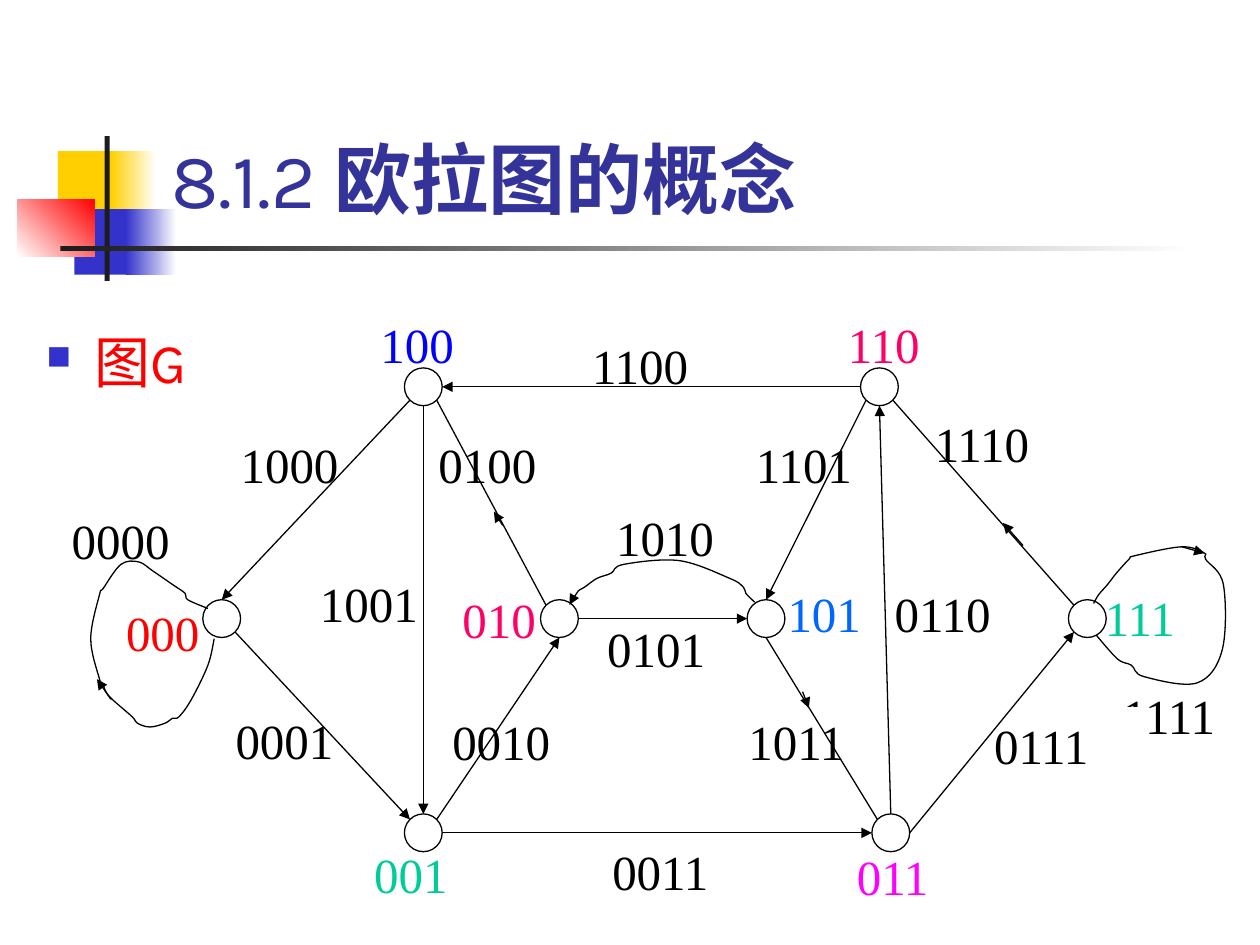
"""Build the slide that shows the Euler graph G of three-bit vertices."""
from dataclasses import dataclass
from typing import NamedTuple

import lxml.etree
import pptx
import pptx.dml.color
import pptx.enum.shapes
import pptx.enum.text
import pptx.oxml.ns
import pptx.util

Point = tuple[float, float]
RECTANGLE = pptx.enum.shapes.MSO_SHAPE.RECTANGLE
OVAL = pptx.enum.shapes.MSO_SHAPE.OVAL


@dataclass(frozen=True)
class Theme:
    title: str = "333399"
    blue: str = "3333CC"
    yellow: str = "FFCF01"
    red: str = "FF0000"
    dark: str = "1C1C1C"
    white: str = "FFFFFF"
    black: str = "000000"
    green: str = "00CC99"
    pink: str = "FF0066"
    magenta: str = "FF00FF"
    sky: str = "0066FF"
    pure_blue: str = "0000FF"
    title_size: int = 44
    body_size: int = 32
    label_size: int = 28
    stroke: float = 0.75
    heading_font: str = "Karla"
    label_font: str = "Times New Roman"


THEME = Theme()
Band = NamedTuple("Band", [("box", tuple), ("colors", tuple), ("angle", int)])
Edge = NamedTuple("Edge", [("start", str), ("leave", str), ("end", str), ("enter", str), ("arrow", bool)])


class Label(NamedTuple):
    text: str
    left: float
    top: float
    color: str = THEME.black
    width: float = 1.33
    height: float = 0.76


BANDS = (
    Band((0.46, 1.2, 0.48, 0.52), (THEME.yellow,), 0),
    Band((0.88, 1.2, 0.36, 0.52), (THEME.yellow, THEME.white), 0),
    Band((0.59, 1.66, 0.46, 0.52), (THEME.blue,), 0),
    Band((1, 1.66, 0.4, 0.52), (THEME.blue, THEME.white), 0),
    Band((0.14, 1.58, 0.61, 0.46), (THEME.white, THEME.red), 45),
    Band((0.83, 1.08, 0.04, 1.15), (THEME.dark,), 0),
    Band((0.48, 1.95, 9, 0.04), (THEME.dark, THEME.white), 0),
)
LABELS = (
    Label("1111", 8.8, 5.38, width=1.14), Label("0000", 0.46, 3.99), Label("1001", 2.43, 4.49),
    Label("0001", 1.76, 5.58), Label("1000", 1.8, 3.39), Label("0111", 7.78, 5.62),
    Label("1110", 7.31, 3.22), Label("0010", 3.48, 5.59), Label("0100", 3.37, 3.39),
    Label("0110", 6.99, 4.57), Label("1011", 5.83, 5.59), Label("1101", 5.89, 3.39),
    Label("1010", 4.78, 3.97, width=1.26, height=0.8), Label("0101", 4.71, 4.85),
    Label("0011", 4.75, 6.62), Label("1100", 4.59, 2.6),
    Label("001", 2.86, 6.64, THEME.green, 1.01), Label("011", 6.69, 6.66, THEME.magenta, 1.01),
    Label("010", 3.56, 4.62, THEME.pink, 1.01), Label("101", 6.14, 4.57, THEME.sky, 0.92),
    Label("111", 8.66, 4.6, THEME.green, 1.01), Label("000", 0.89, 4.72, THEME.red, 1.01),
    Label("100", 2.91, 2.44, THEME.pure_blue, 1.01), Label("110", 6.62, 2.44, THEME.pink, 1.01),
)
RADIUS = 0.15
VERTICES: dict[str, Point] = {
    "000": (1.76, 4.91), "100": (3.36, 3.07), "110": (6.98, 3.07), "001": (3.36, 6.61),
    "010": (4.44, 4.91), "101": (6.08, 4.91), "011": (7.07, 6.61), "111": (8.63, 4.91),
}
SIDES: dict[str, Point] = {
    "N": (0, -1), "S": (0, 1), "W": (-1, 0), "E": (1, 0),
    "NW": (-0.71, -0.71), "NE": (0.71, -0.71), "SW": (-0.71, 0.71), "SE": (0.71, 0.71),
}
EDGES = (
    Edge("011", "N", "110", "S", True), Edge("100", "S", "001", "N", True),
    Edge("001", "E", "011", "W", True), Edge("110", "W", "100", "E", True),
    Edge("100", "SW", "000", "N", True), Edge("011", "E", "111", "SW", True),
    Edge("010", "NW", "100", "SE", False), Edge("001", "NE", "010", "S", True),
    Edge("000", "SE", "001", "NW", True), Edge("110", "SW", "101", "N", True),
    Edge("101", "S", "011", "NW", False), Edge("111", "NW", "110", "SE", False),
    Edge("010", "E", "101", "W", True),
)
MARKERS: tuple[tuple[Point, Point], ...] = (
    ((3.99, 4.17), (3.92, 4.06)), ((6.37, 5.49), (6.42, 5.62)), ((9.38, 4.34), (9.56, 4.39)),
    ((0.88, 5.55), (0.77, 5.39)), ((8.12, 4.33), (7.96, 4.15)),
)
ARC_1010: tuple[Point, ...] = (
    (5.99, 4.78), (5.92, 4.71), (5.9, 4.66), (5.79, 4.59), (5.39, 4.45), (4.95, 4.48), (4.85, 4.55),
    (4.74, 4.59), (4.64, 4.66), (4.59, 4.69), (4.55, 4.75), (4.5, 4.78), (4.52, 4.8),
)
LOOP_1111: tuple[Point, ...] = (
    (8.7, 5.04), (8.87, 5.23), (8.98, 5.28), (9.08, 5.37), (9.5, 5.42), (9.7, 5.16), (9.71, 4.64),
    (9.57, 4.44), (9.56, 4.39), (9.38, 4.34), (9.01, 4.41), (8.96, 4.44), (8.86, 4.55),
    (8.79, 4.64), (8.72, 4.72), (8.68, 4.79),
)
LOOP_0000: tuple[Point, ...] = (
    (1.65, 4.83), (1.49, 4.76), (1.47, 4.71), (1.37, 4.64), (1.21, 4.53), (1.1, 4.46), (0.96, 4.48),
    (0.82, 4.67), (0.79, 4.72), (0.72, 5.07), (0.79, 5.39), (0.82, 5.44), (0.84, 5.49), (0.89, 5.55),
    (1.05, 5.69), (1.09, 5.74), (1.19, 5.77), (1.31, 5.74), (1.37, 5.7), (1.42, 5.69), (1.52, 5.55),
    (1.65, 5.28), (1.7, 5.07),
)


def length(inches: float) -> pptx.util.Length:
    return pptx.util.Cm(inches * 2.54)

def rgb(color: str) -> pptx.dml.color.RGBColor:
    return pptx.dml.color.RGBColor.from_string(color)

def add_xml(parent, tag: str, **attributes: str):
    return lxml.etree.SubElement(parent, pptx.oxml.ns.qn(tag), **attributes)

def style_line(shape, color: str, arrow: bool = False) -> None:
    shape.line.color.rgb = rgb(color)
    shape.line.width = pptx.util.Pt(THEME.stroke)
    if arrow:
        add_xml(shape.line._get_or_add_ln(), "a:tailEnd", type="triangle")

def style_run(span, font: str, size: int, color: str, bold: bool = False) -> None:
    span.font.name, span.font.size, span.font.bold = font, pptx.util.Pt(size), bold
    span.font.color.rgb = rgb(color)

def add_solid(page, kind, place: tuple, color: str):
    shape = page.shapes.add_shape(kind, *map(length, place))
    shape.shadow.inherit = False
    shape.fill.solid()
    shape.fill.fore_color.rgb = rgb(color)
    style_line(shape, THEME.black if kind == OVAL else THEME.white)
    return shape

def add_band(page, band: Band) -> None:
    shape = add_solid(page, RECTANGLE, band.box, band.colors[0])
    shape.line.fill.background()
    if len(band.colors) > 1:
        shape.fill.gradient()
        shape.fill.gradient_angle = band.angle
        for stop, color in zip(shape.fill.gradient_stops, band.colors):
            stop.color.rgb = rgb(color)

def add_label(page, label: Label) -> None:
    place = (label.left, label.top, label.width, label.height)
    frame = add_solid(page, RECTANGLE, place, THEME.white).text_frame
    frame.margin_left = frame.margin_right = length(0.11)
    frame.margin_top = frame.margin_bottom = length(0.06)
    frame.vertical_anchor = pptx.enum.text.MSO_ANCHOR.TOP
    frame.text = label.text
    frame.paragraphs[0].alignment = pptx.enum.text.PP_ALIGN.LEFT
    style_run(frame.paragraphs[0].runs[0], THEME.label_font, THEME.label_size, label.color)

def rim_point(vertex: str, side: str) -> Point:
    (x, y), (step_x, step_y) = VERTICES[vertex], SIDES[side]
    return x + RADIUS * step_x, y + RADIUS * step_y

def add_line(page, start: Point, end: Point, arrow: bool = True) -> None:
    straight = pptx.enum.shapes.MSO_CONNECTOR.STRAIGHT
    line = page.shapes.add_connector(straight, *map(length, start + end))
    style_line(line, THEME.black, arrow)
    add_xml(line._element.spPr, "a:effectLst")

def add_curve(page, knots: tuple[Point, ...], arrow: bool = False) -> None:
    padded, points = knots[:1] + knots + knots[-1:], []
    for a, b, c, d in zip(padded, padded[1:], padded[2:], padded[3:]):
        points.append(tuple(length(q + (r - p) / 6) for p, q, r in zip(a, b, c)))
        points.append(tuple(length(q - (r - p) / 6) for p, q, r in zip(b, c, d)))
        points.append(tuple(map(length, c)))
    builder = page.shapes.build_freeform(*map(length, knots[0]))
    builder.add_line_segments(points, close=False)
    curve = builder.convert_to_shape()
    outline = curve._element.find(".//" + pptx.oxml.ns.qn("a:path"))
    for index, segment in enumerate(outline.findall(pptx.oxml.ns.qn("a:lnTo"))):
        bezier = add_xml(outline, "a:cubicBezTo") if index % 3 == 0 else bezier
        bezier.append(segment[0])
        outline.remove(segment)
    curve.shadow.inherit = False
    curve.fill.background()
    style_line(curve, THEME.black, arrow)

def add_text(page, place: tuple, text: str):
    frame = page.shapes.add_textbox(*map(length, place)).text_frame
    frame.word_wrap, frame.text = True, text
    return frame

def add_headings(page) -> None:
    title = add_text(page, (1.26, 0.23, 8.52, 1.6), "8.1.2 ")
    title.vertical_anchor = pptx.enum.text.MSO_ANCHOR.BOTTOM
    title.paragraphs[0].add_run().text = "欧拉图的概念"
    for span, bold in zip(title.paragraphs[0].runs, (False, True)):
        style_run(span, THEME.heading_font, THEME.title_size, THEME.title, bold)
    para = add_text(page, (0.27, 2.02, 9.73, 5.48), "图G").paragraphs[0]
    para.line_spacing, para.space_before = 2.0, pptx.util.Pt(8)
    style_run(para.runs[0], THEME.heading_font, THEME.body_size, THEME.red)
    properties = para._p.get_or_add_pPr()
    properties.set("marL", str(length(0.38)))
    properties.set("indent", str(-length(0.38)))
    add_xml(add_xml(properties, "a:buClr"), "a:srgbClr", val=THEME.blue)
    add_xml(properties, "a:buSzPct", val="60000")
    add_xml(properties, "a:buChar", char="■")

def main() -> None:
    deck = pptx.Presentation()
    deck.slide_width, deck.slide_height = length(10), length(7.5)
    page = deck.slides.add_slide(deck.slide_layouts[6])
    for band in BANDS:
        add_band(page, band)
    add_headings(page)
    for label in LABELS:
        add_label(page, label)
    for x, y in VERTICES.values():
        add_solid(page, OVAL, (x - RADIUS, y - RADIUS, 2 * RADIUS, 2 * RADIUS), THEME.white)
    for edge in EDGES:
        add_line(page, rim_point(edge.start, edge.leave), rim_point(edge.end, edge.enter), edge.arrow)
    add_curve(page, ARC_1010, arrow=True)
    add_curve(page, LOOP_1111)
    add_curve(page, LOOP_0000)
    for start, end in MARKERS:
        add_line(page, start, end)
    deck.save("out.pptx")


if __name__ == "__main__":
    main()
